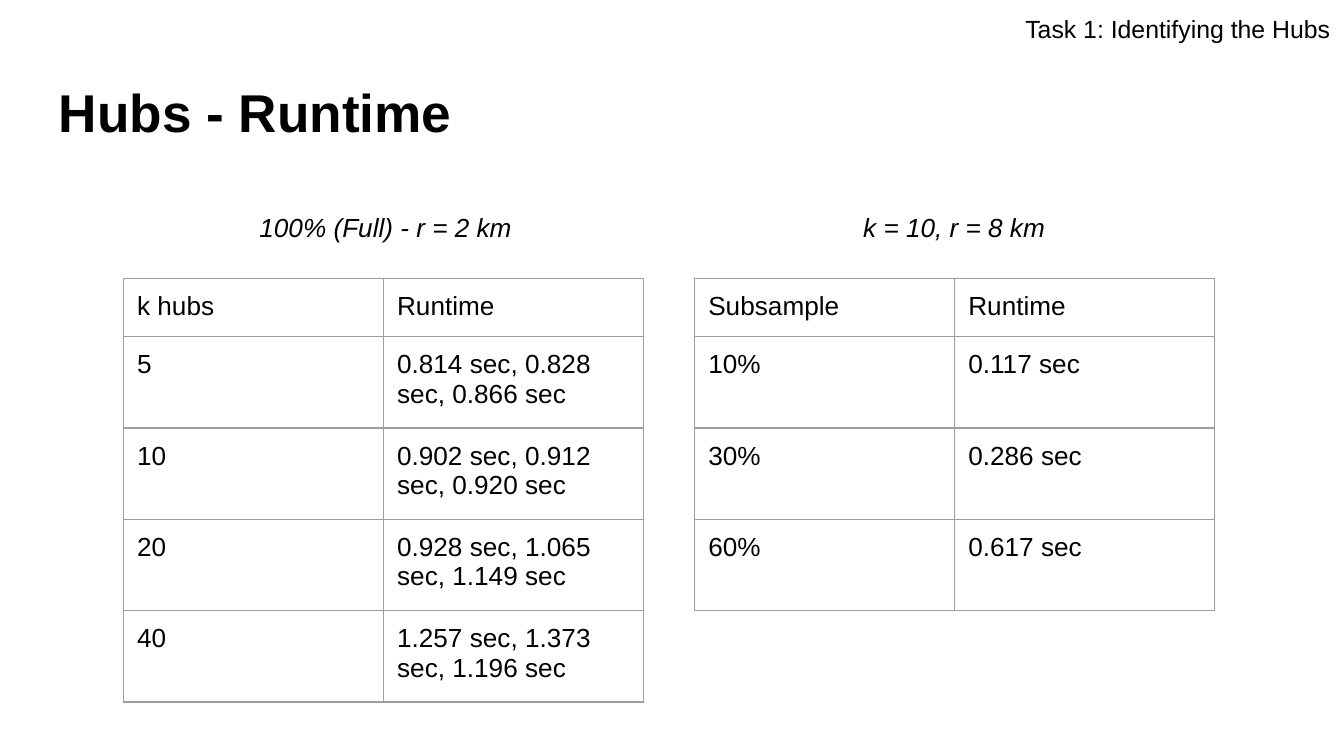
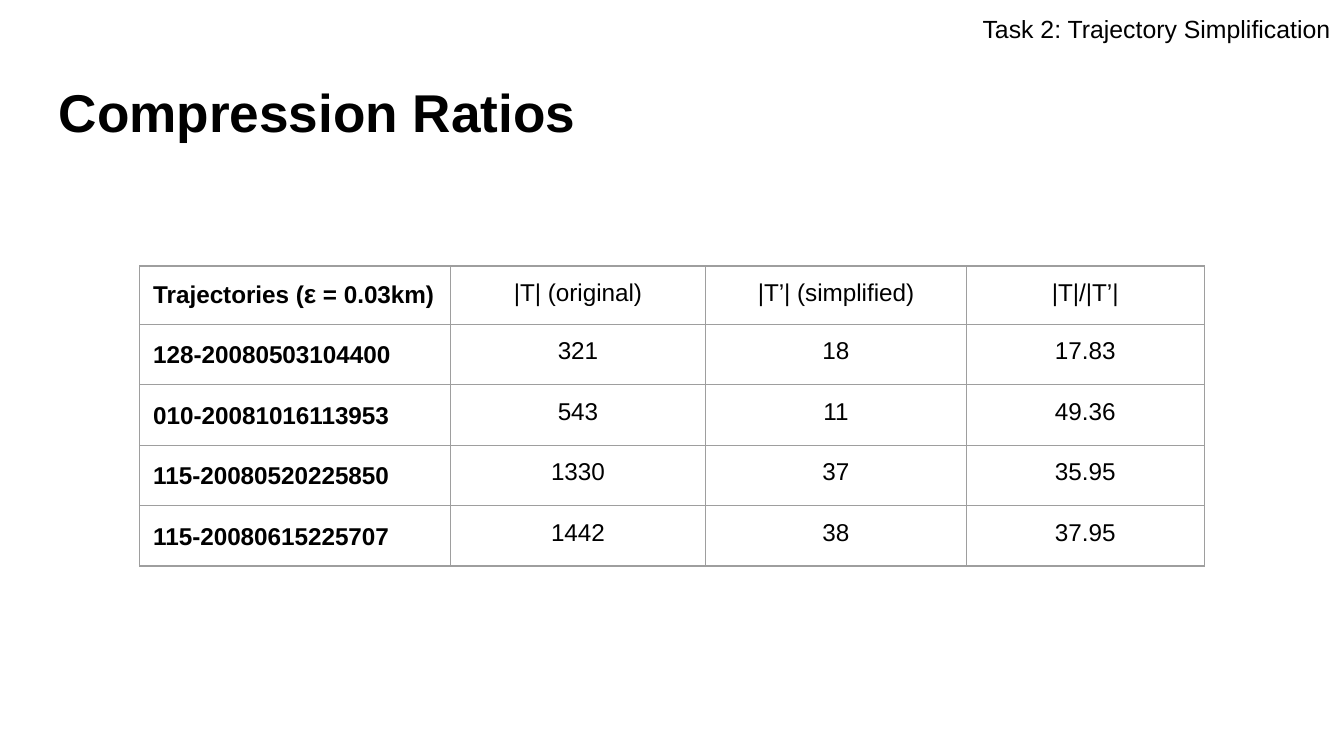
from dataclasses import dataclass

from lxml import etree
from pptx import Presentation
from pptx.dml.color import RGBColor
from pptx.enum.text import MSO_ANCHOR, PP_ALIGN
from pptx.oxml.ns import qn
from pptx.slide import Slide
from pptx.table import Table, _Cell
from pptx.text.text import TextFrame
from pptx.util import Inches, Pt

LEFT, MID, RIGHT = PP_ALIGN.LEFT, PP_ALIGN.CENTER, PP_ALIGN.RIGHT
TOP = MSO_ANCHOR.TOP
COLORS = {"text": "000000", "page": "FFFFFF", "grid": "9E9E9E"}
FONT = "Arial"
PAGE_WIDTH = 10
PAGE_HEIGHT = PAGE_WIDTH * 9 / 16
PAD = Inches(0.1)
SIDES = ("a:lnL", "a:lnR", "a:lnT", "a:lnB")
GRID_LINE = Pt(0.75)


@dataclass
class Style:
    """Look of one paragraph."""
    size: float
    align: PP_ALIGN = LEFT
    bold: bool = False
    italic: bool = False
    space: float = 1.0


@dataclass
class Box:
    """Place of a shape, in inches."""
    left: float
    top: float
    width: float
    height: float


@dataclass
class Grid:
    """A table: its corner, column widths, row heights and words."""
    left: float
    top: float
    cols: list[float]
    rows: list[float]
    cells: list[list[str]]


TITLE = Style(28.5, bold=True)
TASK = Style(13.3, RIGHT)
LABEL = Style(14, MID, italic=True)
PLAIN = Style(14)
VALUE = Style(13, MID)
HEAD = Style(13, bold=True)
NAME = Style(13, bold=True, space=1.15)

TITLE_BOX = Box(0.34, 0.49, 9.32, 0.63)
TASK_BOX = Box(3.87, 0, 6.13, 0.41)
TIME_WIDTH = 3.87
HEAD_ROW, BODY_ROW, RATIO_ROW = 0.43, 0.68, 0.42

HUBS = [
    ["k hubs", "Runtime"],
    ["5", "0.814 sec, 0.828 sec, 0.866 sec"],
    ["10", "0.902 sec, 0.912 sec, 0.920 sec"],
    ["20", "0.928 sec, 1.065 sec, 1.149 sec"],
    ["40", "1.257 sec, 1.373 sec, 1.196 sec"],
]
SAMPLES = [
    ["Subsample", "Runtime"],
    ["10%", "0.117 sec"],
    ["30%", "0.286 sec"],
    ["60%", "0.617 sec"],
]
RATIOS = [
    ["Trajectories (ε = 0.03km)", "|T| (original)", "|T’| (simplified)", "|T|/|T’|"],
    ["128-20080503104400", "321", "18", "17.83"],
    ["010-20081016113953", "543", "11", "49.36"],
    ["115-20080520225850", "1330", "37", "35.95"],
    ["115-20080615225707", "1442", "38", "37.95"],
]


def write(frame: TextFrame, text: str, style: Style) -> None:
    """Put one styled paragraph into a text frame."""
    para = frame.paragraphs[0]
    para.text = text
    para.alignment = style.align
    para.line_spacing = style.space
    font = para.font
    font.name = FONT
    font.size = Pt(style.size)
    font.bold = style.bold
    font.italic = style.italic
    font.color.rgb = RGBColor.from_string(COLORS["text"])


def add_text(slide: Slide, box: Box, text: str, style: Style) -> None:
    """Add a wrapped text box."""
    shape = slide.shapes.add_textbox(
        Inches(box.left), Inches(box.top), Inches(box.width), Inches(box.height))
    frame = shape.text_frame
    frame.word_wrap = True
    frame.vertical_anchor = TOP
    frame.margin_left = frame.margin_right = PAD
    frame.margin_top = frame.margin_bottom = PAD
    write(frame, text, style)


def add_edges(cell: _Cell) -> None:
    """Draw a thin line on each side of a cell."""
    props = cell._tc.get_or_add_tcPr()
    for side in SIDES:
        line = etree.SubElement(props, qn(side), w=str(int(GRID_LINE)))
        fill = etree.SubElement(line, qn("a:solidFill"))
        etree.SubElement(fill, qn("a:srgbClr"), val=COLORS["grid"])


def add_grid(slide: Slide, grid: Grid, styles: list[Style]) -> Table:
    """Add a plain lined table, with one style for each column."""
    table = slide.shapes.add_table(
        len(grid.rows), len(grid.cols), Inches(grid.left), Inches(grid.top),
        Inches(sum(grid.cols)), Inches(sum(grid.rows))).table
    table.first_row = table.horz_banding = False
    for col, width in zip(table.columns, grid.cols):
        col.width = Inches(width)
    for row, height, words in zip(table.rows, grid.rows, grid.cells):
        row.height = Inches(height)
        for cell, text, style in zip(row.cells, words, styles):
            cell.margin_left = cell.margin_right = PAD
            cell.margin_top = cell.margin_bottom = PAD
            cell.vertical_anchor = TOP
            add_edges(cell)
            cell.fill.background()
            write(cell.text_frame, text, style)
    return table


def add_page(deck: Presentation, title: str, task: str) -> Slide:
    """Add a slide with its title and task line."""
    slide = deck.slides.add_slide(deck.slide_layouts[6])
    fill = slide.background.fill
    fill.solid()
    fill.fore_color.rgb = RGBColor.from_string(COLORS["page"])
    add_text(slide, TITLE_BOX, title, TITLE)
    add_text(slide, TASK_BOX, task, TASK)
    return slide


def add_times(deck: Presentation) -> None:
    """Build the slide with two runtime tables."""
    slide = add_page(deck, "Hubs - Runtime", "Task 1: Identifying the Hubs")
    for left, start, label, cells in (
        (0.92, 1.53, "100% (Full) - r = 2 km", HUBS),
        (5.17, 5.76, "k = 10, r = 8 km", SAMPLES),
    ):
        add_text(slide, Box(start, 1.47, 2.68, 0.44), label, LABEL)
        rows = [HEAD_ROW] + [BODY_ROW] * (len(cells) - 1)
        cols = [TIME_WIDTH / 2] * 2
        add_grid(slide, Grid(left, 2.07, cols, rows, cells), [PLAIN] * 2)


def add_ratios(deck: Presentation) -> None:
    """Build the slide with the compression table."""
    slide = add_page(deck, "Compression Ratios", "Task 2: Trajectory Simplification")
    grid = Grid(1.04, 1.98, [2.31, 1.9, 1.94, 1.77], [RATIO_ROW] * len(RATIOS), RATIOS)
    table = add_grid(slide, grid, [NAME] + [VALUE] * 3)
    frame = table.cell(0, 0).text_frame
    write(frame, "", HEAD)
    for part in RATIOS[0][0].partition("ε"):
        run = frame.paragraphs[0].add_run()
        run.text = part
        if part == "ε":
            run.font.size = Pt(14)


def main() -> None:
    """Build and save the deck."""
    deck = Presentation()
    deck.slide_width, deck.slide_height = Inches(PAGE_WIDTH), Inches(PAGE_HEIGHT)
    add_times(deck)
    add_ratios(deck)
    deck.save("out.pptx")


main()
